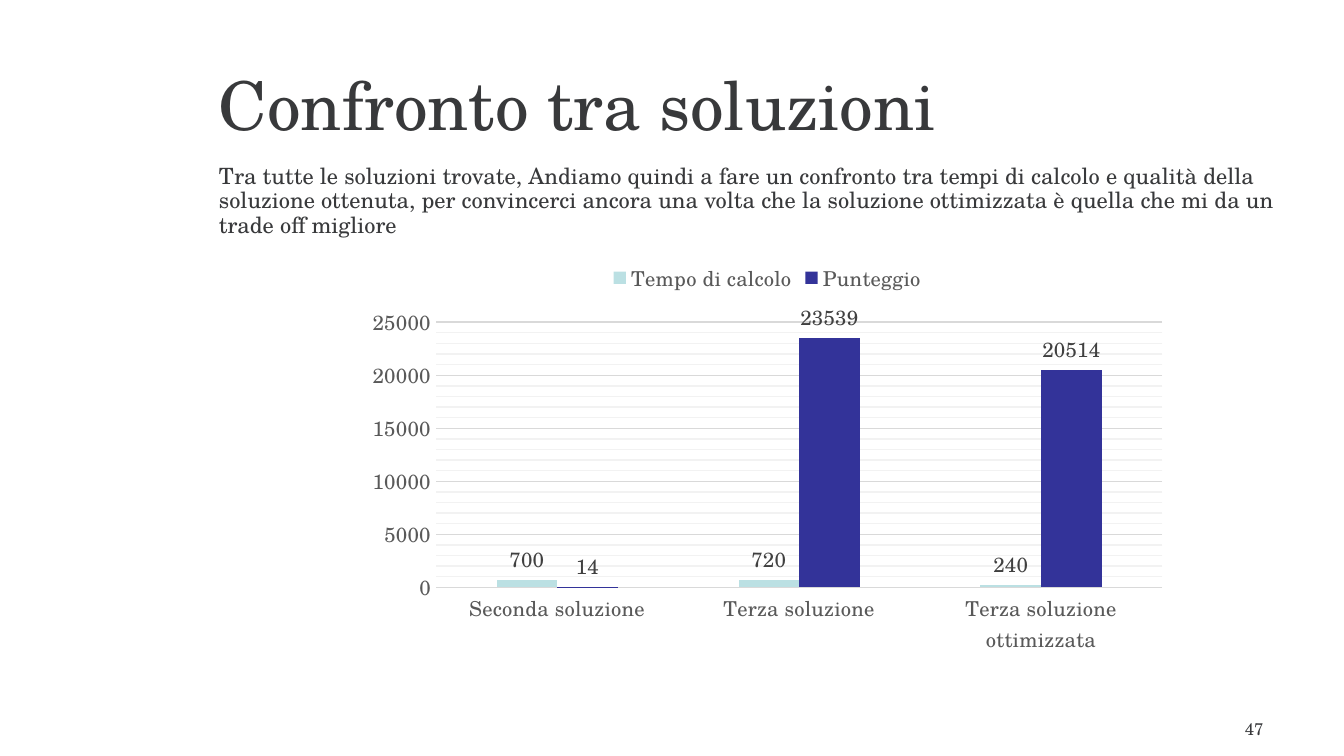
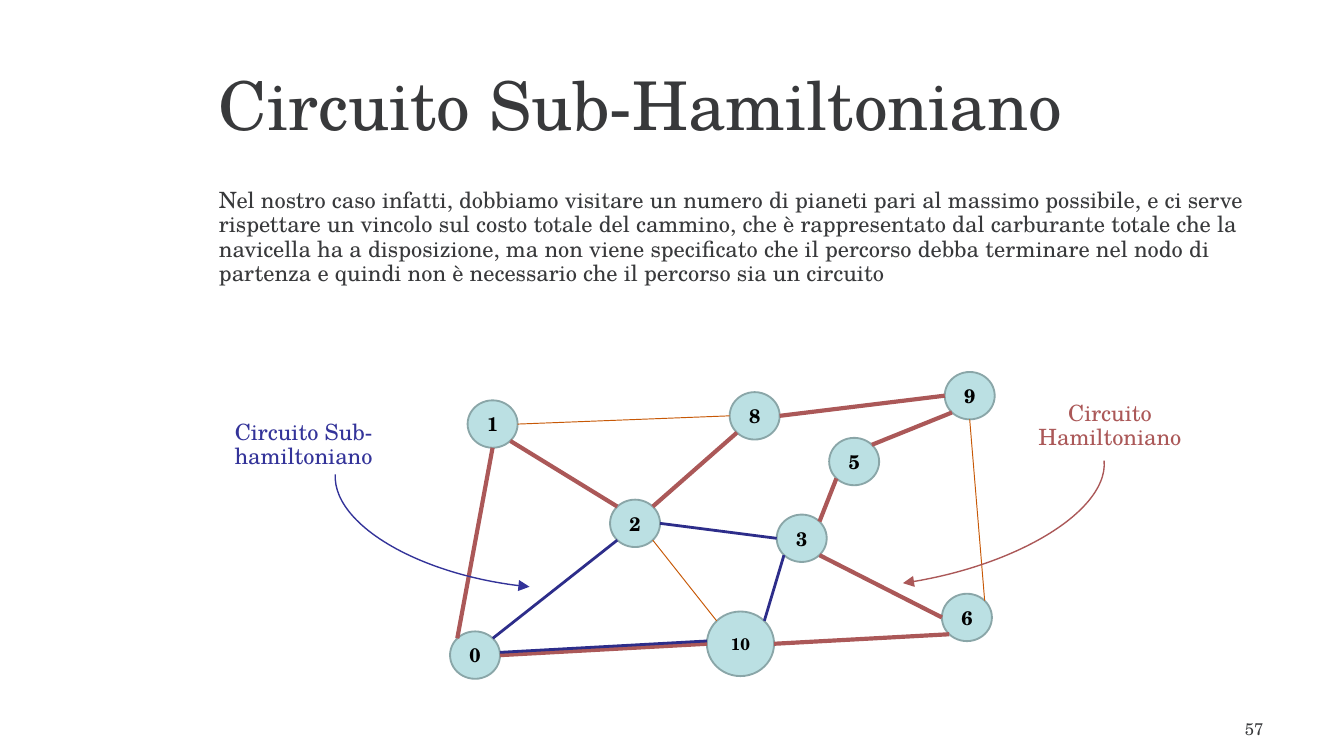
from lxml import etree
from pptx import Presentation
from pptx.chart.data import CategoryChartData
from pptx.dml.color import RGBColor
from pptx.enum.chart import XL_CHART_TYPE, XL_LABEL_POSITION, XL_LEGEND_POSITION, XL_TICK_MARK
from pptx.enum.shapes import MSO_CONNECTOR, MSO_SHAPE
from pptx.enum.text import MSO_ANCHOR, PP_ALIGN
from pptx.oxml.ns import qn
from pptx.util import Pt

LEFT, CENTER, RIGHT = PP_ALIGN.LEFT, PP_ALIGN.CENTER, PP_ALIGN.RIGHT
TOP, MIDDLE = MSO_ANCHOR.TOP, MSO_ANCHOR.MIDDLE
NO_TICK = XL_TICK_MARK.NONE

FONT = "TeX Gyre Schola"
COLORS = {
    "text": "38393B", "black": "000000", "axis": "595959", "label": "404040",
    "grid": "D9D9D9", "minor grid": "F2F2F2", "aqua": "BBE0E3", "rim": "8AA6A8",
    "indigo": "333399", "blue": "2D2D8A", "red": "AB5858", "orange": "C75806",
}
COLORS = {name: RGBColor.from_string(value) for name, value in COLORS.items()}


def write(shape, text, size=12, color="text", bold=False, align=LEFT, anchor=TOP,
          spacing=None, inset=(7.2, 3.6)):
    frame = shape.text_frame
    frame.word_wrap = True
    frame.vertical_anchor = anchor
    frame.margin_left = frame.margin_right = Pt(inset[0])
    frame.margin_top = frame.margin_bottom = Pt(inset[1])
    para = frame.paragraphs[0]
    para.alignment = align
    if spacing:
        para.line_spacing = spacing
    span = para.add_run()
    span.text = text
    set_font(span.font, size, color)
    span.font.bold = bold


def set_font(font, size, color):
    font.name = FONT
    font.size = Pt(size)
    font.color.rgb = COLORS[color]


deck = Presentation()
deck.slide_width, deck.slide_height = Pt(720), Pt(405)

# Title, body text and page number of each slide
SLIDES = [
    ("Confronto tra soluzioni", "47", (110.2, 85, 601.2, 32.4),
     "Tra tutte le soluzioni trovate, Andiamo quindi a fare un confronto tra tempi di "
     "calcolo e qualità della soluzione ottenuta, per convincerci ancora una volta che la "
     "soluzione ottimizzata è quella che mi da un trade off migliore"),
    ("Circuito Sub-Hamiltoniano", "57", (110.2, 97.9, 583.9, 53.3),
     "Nel nostro caso infatti, dobbiamo visitare un numero di pianeti pari al massimo "
     "possibile, e ci serve rispettare un vincolo sul costo totale del cammino, che è "
     "rappresentato dal carburante totale che la navicella ha a disposizione, ma non viene "
     "specificato che il percorso debba terminare nel nodo di partenza e quindi non è "
     "necessario che il percorso sia un circuito"),
]
pages = []
for title, number, body_place, body in SLIDES:
    page = deck.slides.add_slide(deck.slide_layouts[6])
    pages.append(page)
    box = page.shapes.add_textbox(Pt(110.2), Pt(19.4), Pt(578.2), Pt(72))
    write(box, title, size=36, anchor=MIDDLE)
    box = page.shapes.add_textbox(Pt(516.2), Pt(381.6), Pt(167.8), Pt(15.8))
    write(box, number, size=9, align=RIGHT)
    box = page.shapes.add_textbox(*map(Pt, body_place))
    write(box, body, spacing=0.9)
chart_page, graph_page = pages

# Chart of calculation time and score
data = CategoryChartData()
data.categories = ["Seconda soluzione", "Terza soluzione", "Terza soluzione ottimizzata"]
data.add_series("Tempo di calcolo", (700, 720, 240))
data.add_series("Punteggio", (14, 23539, 20514))
chart = chart_page.shapes.add_chart(
    XL_CHART_TYPE.COLUMN_CLUSTERED, Pt(190.8), Pt(132.5), Pt(440.6), Pt(222.5), data).chart
set_font(chart.font, 11, "black")
chart.has_title = False
chart.has_legend = True
chart.legend.position = XL_LEGEND_POSITION.TOP
chart.legend.include_in_layout = False
set_font(chart.legend.font, 11, "axis")

plot = chart.plots[0]
plot.gap_width, plot.overlap, plot.vary_by_categories = 199, 0, False
for series, color in zip(plot.series, ("aqua", "indigo")):
    series.format.fill.solid()
    series.format.fill.fore_color.rgb = COLORS[color]
    labels = series.data_labels
    labels.show_value = True
    labels.position = XL_LABEL_POSITION.OUTSIDE_END
    set_font(labels.font, 11, "label")

# Chart axes and gridlines
values = chart.value_axis
values.minimum_scale, values.maximum_scale = 0, 25000
values.major_unit, values.minor_unit = 5000, 1000
values.has_major_gridlines = values.has_minor_gridlines = True
for axis in (chart.category_axis, values):
    axis.major_tick_mark = axis.minor_tick_mark = NO_TICK
    set_font(axis.tick_labels.font, 11, "axis")
values.format.line.fill.background()
for lines in (values.major_gridlines, chart.category_axis):
    lines.format.line.color.rgb = COLORS["grid"]
    lines.format.line.width = Pt(0.75)
minor_lines = values._element.find(qn("c:minorGridlines"))
properties = etree.SubElement(minor_lines, qn("c:spPr"))
stroke = etree.SubElement(properties, qn("a:ln"), w=str(Pt(0.75)))
fill = etree.SubElement(stroke, qn("a:solidFill"))
etree.SubElement(fill, qn("a:srgbClr"), val=str(COLORS["minor grid"]))

# Graph nodes, by centre
SMALL, LARGE = (26.8, 25.4), (36, 34.6)
NODES = {
    "0": (254.5, 351), "2": (340.2, 280.4), "3": (429.5, 288.4), "5": (457.6, 247.3),
    "9": (519.5, 212), "8": (404.3, 222.8), "1": (263.9, 227.2), "6": (518, 330.8),
    "10": (396.7, 344.9),
}
for name, (x, y) in NODES.items():
    width, height = LARGE if name == "10" else SMALL
    node = graph_page.shapes.add_shape(
        MSO_SHAPE.OVAL, Pt(x - width / 2), Pt(y - height / 2), Pt(width), Pt(height))
    node.shadow.inherit = False
    node.fill.solid()
    node.fill.fore_color.rgb = COLORS["aqua"]
    node.line.color.rgb = COLORS["rim"]
    node.line.width = Pt(1)
    write(node, name, size=9 if name == "10" else 10.5, color="black", bold=True,
          align=CENTER, anchor=MIDDLE, inset=(0, 1))

# Graph edges: node and side at each end, colour, vertical shift
SIDES = {"left": (-1, 0), "right": (1, 0), "bottom": (0, 1),
         "top left": (-0.71, -0.71), "top right": (0.71, -0.71),
         "bottom left": (-0.71, 0.71), "bottom right": (0.71, 0.71)}
WEIGHTS = {"red": 2.25, "blue": 1.5, "orange": 0.5}
EDGES = [
    ("0", "top left", "1", "bottom", "red", 0),
    ("8", "left", "1", "right", "orange", 0),
    ("0", "top right", "2", "bottom left", "blue", 0),
    ("3", "bottom left", "10", "top right", "blue", 0),
    ("3", "top right", "5", "bottom left", "red", 0),
    ("2", "right", "3", "left", "blue", 0),
    ("8", "bottom left", "2", "top right", "red", 0),
    ("6", "top right", "9", "bottom", "orange", 0),
    ("2", "bottom right", "10", "top left", "orange", 0),
    ("1", "bottom right", "2", "top left", "red", 0),
    ("0", "right", "10", "left", "red", 0),
    ("3", "bottom right", "6", "left", "red", 0),
    ("8", "right", "9", "left", "red", 0),
    ("10", "right", "6", "bottom left", "red", 0),
    ("5", "top right", "9", "bottom left", "red", 0),
    ("0", "right", "10", "left", "blue", -1.5),
]
for start, start_side, end, end_side, color, shift in EDGES:
    points = []
    for name, side in ((start, start_side), (end, end_side)):
        (x, y), (across, down) = NODES[name], SIDES[side]
        width, height = LARGE if name == "10" else SMALL
        points += [Pt(x + across * width / 2), Pt(y + down * height / 2 + shift)]
    edge = graph_page.shapes.add_connector(MSO_CONNECTOR.STRAIGHT, *points)
    edge.line.color.rgb = COLORS[color]
    edge.line.width = Pt(WEIGHTS[color])
    etree.SubElement(edge._element.spPr, qn("a:effectLst"))

# Circuit names with their curved arrows
CALLOUTS = [
    ("Circuito Sub-hamiltoniano", "indigo", (112.3, 221.8), (178.6, 221.8, 197.3, 91.4), 188.9, False),
    ("Circuito Hamiltoniano", "red", (544.3, 211.7), (383, 219.6, 210.2, 91.4), 168.7, True),
]
for text, color, (x, y), arc_place, rotation, flipped in CALLOUTS:
    box = graph_page.shapes.add_textbox(Pt(x), Pt(y), Pt(100.8), Pt(35.3))
    write(box, text, color=color, align=CENTER, spacing=0.9)
    arrow = graph_page.shapes.add_shape(MSO_SHAPE.ARC, *map(Pt, arc_place))
    arrow.adjustments[0], arrow.adjustments[1] = 152.01, 215.33
    arrow.rotation = rotation
    if flipped:
        arrow._element.spPr.xfrm.set("flipH", "1")
    arrow.shadow.inherit = False
    arrow.fill.background()
    arrow.line.color.rgb = COLORS[color]
    arrow.line.width = Pt(0.75)
    etree.SubElement(arrow._element.spPr.find(qn("a:ln")), qn("a:headEnd"), type="triangle")

deck.save("out.pptx")
